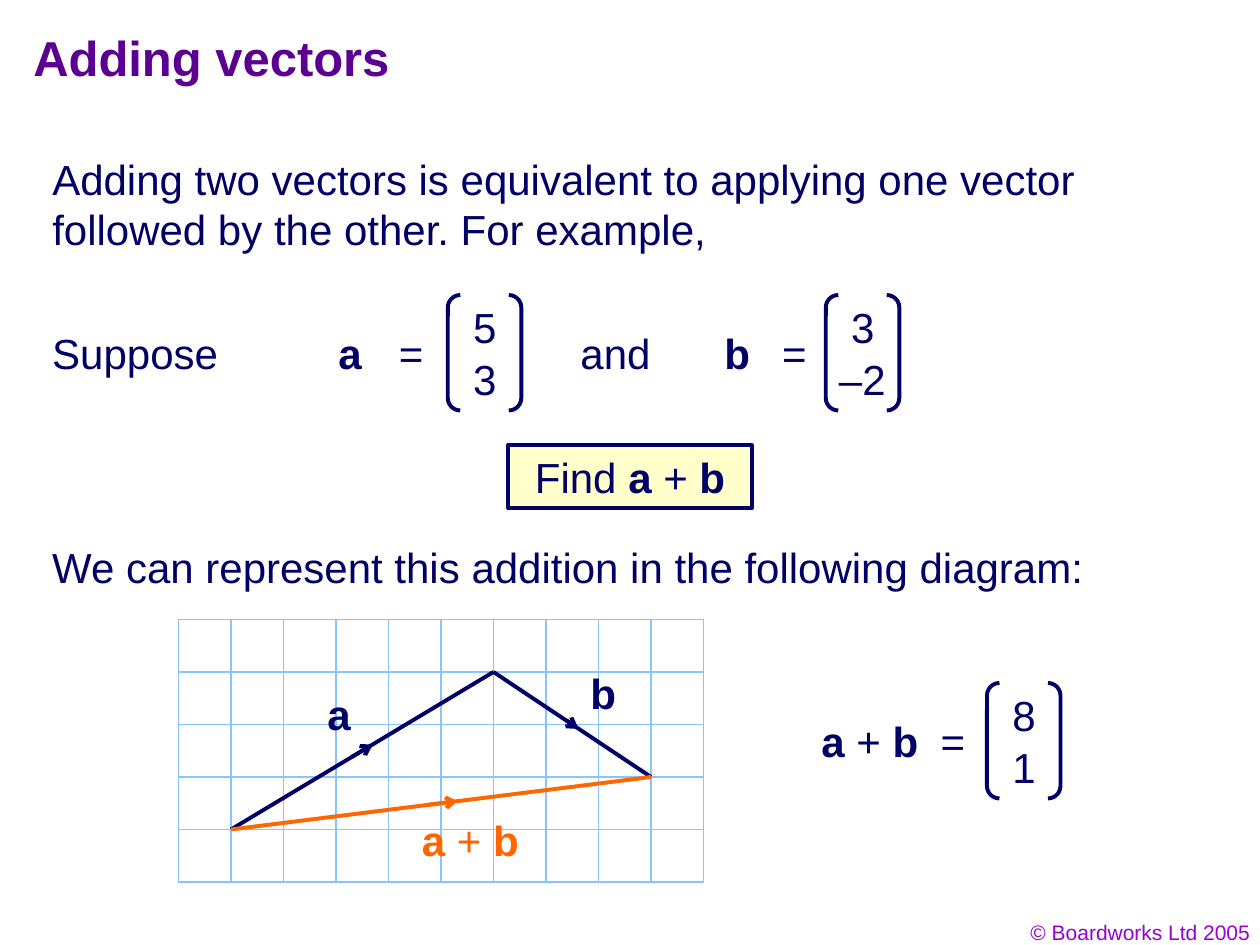
from dataclasses import dataclass
from itertools import product

from pptx import Presentation
from pptx.dml.color import RGBColor
from pptx.enum.shapes import MSO_CONNECTOR, MSO_SHAPE
from pptx.enum.text import MSO_ANCHOR, PP_ALIGN
from pptx.oxml.ns import qn
from pptx.util import Inches, Pt
from lxml import etree

RECTANGLE, BRACKETS = MSO_SHAPE.RECTANGLE, MSO_SHAPE.DOUBLE_BRACKET
STRAIGHT, TOP = MSO_CONNECTOR.STRAIGHT, MSO_ANCHOR.TOP
LEFT, CENTER, RIGHT = PP_ALIGN.LEFT, PP_ALIGN.CENTER, PP_ALIGN.RIGHT

COLORS = {
    "text": "010066", "outline": "000066", "title": "5B0091",
    "credit": "9900CC", "sum": "FF6600", "grid": "89C4FF",
    "paper": "FFFFFF", "panel": "FFFFCC",
}

# The slide is 24 columns by 18 rows of square cells; all lengths are in cells
WIDTH, HEIGHT, COLUMNS = 10, 7.5, 24
GRID_LEFT, GRID_TOP, GRID_COLUMNS, GRID_ROWS = 3.4, 11.8, 10, 5
LINE_HEIGHT = 1.2
BRACKET_WIDTH, BRACKET_HEIGHT = 1.4, 2.2
ARROW_START, ARROW_END = 0.46, 0.54  # shares of a vector's length

Spans = tuple[tuple[str, bool], ...]  # wording and whether it is bold
A: Spans = (("a", True),)
B: Spans = (("b", True),)
A_PLUS_B: Spans = (("a ", True), ("+", False), (" b", True))


@dataclass(frozen=True)
class Label:
    spans: Spans
    left: float
    top: float
    width: float
    height: float = LINE_HEIGHT
    color: str = "text"
    size: int = 24
    align: PP_ALIGN = LEFT
    wrap: bool = True


@dataclass(frozen=True)
class Equation:
    name: Spans
    name_left: float
    name_width: float
    equals_left: float
    bracket_left: float
    top: float
    entries: tuple[str, str]


@dataclass(frozen=True)
class Vector:
    start: tuple[float, float]  # column and row of the diagram grid
    end: tuple[float, float]
    color: str
    label: Label


def plain(text: str) -> Spans:
    return ((text, False),)


def cells(count: float) -> int:
    return Inches(count * WIDTH / COLUMNS)


def rgb(name: str) -> RGBColor:
    return RGBColor.from_string(COLORS[name])


def write(shape, label: Label) -> None:
    frame = shape.text_frame
    frame.word_wrap = label.wrap
    frame.vertical_anchor = TOP
    para = frame.paragraphs[0]
    para.alignment = label.align
    for text, bold in label.spans:
        span = para.add_run()
        span.text = text
        formats = {"name": "Arial", "size": Pt(label.size), "bold": bold}
        for key, value in formats.items():
            setattr(span.font, key, value)
        span.font.color.rgb = rgb(label.color)


def draw_label(page, label: Label) -> None:
    place = map(cells, (label.left, label.top, label.width, label.height))
    write(page.shapes.add_textbox(*place), label)


def draw_shape(page, kind, left: float, top: float, width: float, height: float,
               fill: str | None = None, line: str = "outline", weight: float = 2.25):
    shape = page.shapes.add_shape(kind, *map(cells, (left, top, width, height)))
    shape.shadow.inherit = False
    if fill:
        shape.fill.solid()
        shape.fill.fore_color.rgb = rgb(fill)
    else:
        shape.fill.background()
    shape.line.color.rgb = rgb(line)
    shape.line.width = Pt(weight)
    return shape


def draw_equation(page, item: Equation) -> None:
    middle = item.top + (BRACKET_HEIGHT - LINE_HEIGHT) / 2
    draw_label(page, Label(item.name, item.name_left, middle, item.name_width, wrap=False))
    draw_label(page, Label(plain("="), item.equals_left, middle, 0.94, wrap=False))
    brackets = draw_shape(page, BRACKETS, item.bracket_left, item.top,
                          BRACKET_WIDTH, BRACKET_HEIGHT)
    brackets.adjustments[0] = 0.17
    for row, entry in enumerate(item.entries):
        width = 0.45 + 0.46 * len(entry)
        left = item.bracket_left + (BRACKET_WIDTH - width) / 2
        draw_label(page, Label(plain(entry), left, item.top + row, width, wrap=False))


def draw_line(page, start, end, color: str, arrow: bool = False) -> None:
    points = [cells(origin + step) for point in (start, end)
              for origin, step in zip((GRID_LEFT, GRID_TOP), point)]
    line = page.shapes.add_connector(STRAIGHT, *points)
    line.line.color.rgb = rgb(color)
    line.line.width = Pt(2.25)
    if arrow:
        etree.SubElement(line.line._get_or_add_ln(), qn("a:tailEnd"), type="arrow")
    etree.SubElement(line._element.spPr, qn("a:effectLst"))


def draw_vector(page, vector: Vector) -> None:
    def along(share: float) -> tuple[float, ...]:
        return tuple(a + share * (b - a) for a, b in zip(vector.start, vector.end))

    draw_line(page, vector.start, vector.end, vector.color)
    draw_line(page, along(ARROW_START), along(ARROW_END), vector.color, arrow=True)
    draw_label(page, vector.label)


LABELS = (
    Label(plain("© Boardworks Ltd 2005"), 18.46, 17.4, 5.59, 0.72, "credit", 12, RIGHT),
    Label((("Adding vectors", True),), 0.4, 0.4, 20.4, 1.6, "title", 28),
    Label(plain("Adding two vectors is equivalent to applying one vector "
                "followed by the other. For example,"), 0.76, 2.8, 22.85, 2.16),
    Label(plain("Suppose"), 0.76, 6.12, 4.25),
    Label(plain("and"), 10.82, 6.12, 1.9, wrap=False),
    Label(plain("We can represent this addition in the following diagram:"),
          0.76, 10.2, 22.25),
)
QUESTION = Label((("Find ", False), *A, (" + ", False), *B),
                 9.68, 8.48, 4.64, align=CENTER)
EQUATIONS = (
    Equation(A, 6.21, 0.92, 7.36, 8.53, 5.62, ("5", "3")),
    Equation(B, 13.56, 0.96, 14.66, 15.73, 5.62, ("3", "–2")),
    Equation(A_PLUS_B, 15.41, 2.36, 17.68, 18.8, 13.01, ("8", "1")),
)
ORIGIN, PEAK, FINISH = (1, 4), (6, 1), (9, 3)
VECTORS = (
    Vector(ORIGIN, PEAK, "outline", Label(A, 6, 13, 0.92, wrap=False)),
    Vector(PEAK, FINISH, "outline", Label(B, 11.01, 12.6, 0.96, wrap=False)),
    Vector(ORIGIN, FINISH, "sum",
           Label(A_PLUS_B, 7.8, 15.4, 2.36, color="sum", wrap=False)),
)


def main() -> None:
    deck = Presentation()
    deck.slide_width, deck.slide_height = Inches(WIDTH), Inches(HEIGHT)
    page = deck.slides.add_slide(deck.slide_layouts[6])

    # Wording and question panel
    for label in LABELS:
        draw_label(page, label)
    panel = draw_shape(page, RECTANGLE, QUESTION.left, QUESTION.top,
                       QUESTION.width, QUESTION.height, "panel")
    write(panel, QUESTION)

    # Squared paper with the vector triangle
    for row, column in product(range(GRID_ROWS), range(GRID_COLUMNS)):
        draw_shape(page, RECTANGLE, GRID_LEFT + column, GRID_TOP + row, 1, 1,
                   "paper", "grid", 0.75)
    for vector in VECTORS:
        draw_vector(page, vector)

    # Column vectors
    for equation in EQUATIONS:
        draw_equation(page, equation)

    deck.save("out.pptx")


if __name__ == "__main__":
    main()
